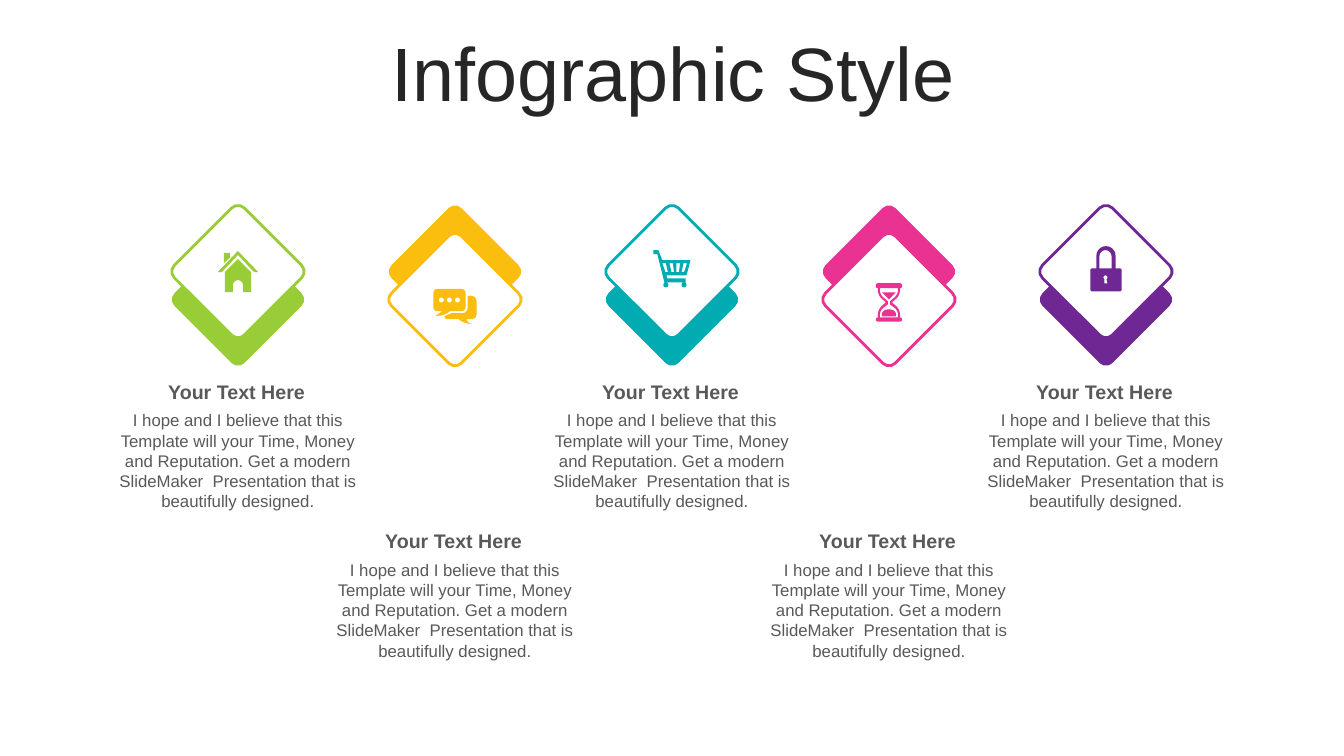
from dataclasses import dataclass
from math import hypot

from pptx import Presentation
from pptx.dml.color import RGBColor
from pptx.enum.shapes import MSO_SHAPE
from pptx.enum.text import MSO_ANCHOR, MSO_AUTO_SIZE, PP_ALIGN
from pptx.util import Pt


@dataclass(frozen=True)
class Theme:
    font: str = "Arial"
    title: str = "262626"
    text: str = "595959"
    white: str = "FFFFFF"
    green: str = "99CD37"
    amber: str = "FCBE0E"
    teal: str = "00ACB2"
    pink: str = "EA3293"
    purple: str = "6F2893"
    title_size: float = 54
    heading_size: float = 14
    body_size: float = 12
    outline: float = 2


THEME = Theme()
HEADING = "Your Text Here"
BODY = ("I hope and I believe that this Template will your Time, Money and Reputation. "
        "Get a modern SlideMaker  Presentation that is beautifully designed.")

# Column geometry, in points
LEFT, PITCH, COLUMN_W = 77, 155, 186
TILE, TILE_TOP, TILE_SHIFT = 70.6, 158.7, 20
TEXT_TOP, TEXT_SHIFT, BODY_DROP = 267.8, 106.8, 21.6
ICON_UNIT = 0.72


def disc(cx, cy, r):
    return [(cx - r, cy - r, r), (cx + r, cy - r, r), (cx + r, cy + r, r), (cx - r, cy + r, r)]


# Icon contours: corners as (x, y) or (x, y, rounding radius), in icon units
HOME = [
    [(20, 8), (33, 21), (33, 41), (25, 41), (25, 29, 5), (15, 29, 5), (15, 41), (7, 41), (7, 21)],
    [(6, 2), (12, 2), (12, 7), (6, 12)],
    [(20, 0), (40, 21), (36, 21), (20, 4), (4, 21), (0, 21)],
]
CHAT = [
    [(0, 0, 4), (32, 0, 4), (32, 22, 4), (17, 22), (11, 26, 4), (2, 27), (9, 22), (0, 22, 4)],
    [(34, 7), (43, 7, 5), (43, 30, 5), (33, 30), (34, 33, 2), (39, 35), (31, 34, 4),
     (25, 30), (11, 30, 3), (11, 27), (18, 24), (34, 24, 5)],
    *[disc(x, 11, 2.5) for x in (8, 16, 24)],
]
CART = [
    [(0, 0), (5, 0), (9, 10), (37, 10, 1), (33, 25, 1), (13, 25), (14, 28), (32, 28),
     (32, 32), (11, 32), (4, 4), (0, 4)],
    *[[(a, 13), (b, 22), (b + 2.5, 22), (a + 3.5, 13)]
      for a, b in ((9, 12), (16, 18), (23, 23), (30, 28))],
    *[disc(x, 34.5, 2.5) for x in (12.5, 30.5)],
]
HOURGLASS = [
    [(0, 0, 2), (26, 0, 2), (26, 5, 2), (24, 5), (24, 12, 5), (16, 19), (24, 26, 5), (24, 34),
     (26, 34, 2), (26, 38, 2), (0, 38, 2), (0, 34, 2), (2, 34), (2, 26, 5), (10, 19),
     (2, 12, 5), (2, 5), (0, 5, 2)],
    [(4, 5), (4, 11, 4), (12, 18), (12, 21), (4, 27, 4), (4, 34), (22, 34), (22, 27, 4),
     (14, 21), (14, 18), (22, 11, 4), (22, 5)],
    [(6, 9), (20, 9), (18, 11), (13, 16), (8, 11)],
    [(6, 33), (6, 28, 3), (13, 25, 4), (20, 28, 3), (20, 33)],
]
LOCK = [
    [(0, 22, 2), (6, 22), (6, 0, 9.5), (25, 0, 9.5), (25, 22), (31, 22, 2), (31, 45, 2),
     (0, 45, 2)],
    [(9, 22), (9, 4, 6), (21, 4, 6), (21, 22)],
    [(13, 29, 2), (17, 29, 2), (17, 32, 1), (16, 33), (17, 37), (14, 37), (14, 33), (13, 32, 1)],
]

# Colour, icon, icon shift below the centre of the front tile
COLUMNS = [
    (THEME.green, HOME, 0),
    (THEME.amber, CHAT, 5),
    (THEME.teal, CART, -2),
    (THEME.pink, HOURGLASS, 2),
    (THEME.purple, LOCK, -2),
]


def rgb(value):
    return RGBColor.from_string(value)


def style_text(tf, text, size, color, bold=False, spacing=None):
    tf.word_wrap = True
    tf.auto_size = MSO_AUTO_SIZE.NONE
    p = tf.paragraphs[0]
    p.alignment = PP_ALIGN.CENTER
    if spacing:
        p.line_spacing = spacing
    r = p.add_run()
    r.text = text
    r.font.color.rgb = rgb(color)
    for name, value in {"name": THEME.font, "size": Pt(size), "bold": bold}.items():
        setattr(r.font, name, value)


def place(sp, x, y, w, h):
    for name, value in {"left": x, "top": y, "width": w, "height": h}.items():
        setattr(sp, name, Pt(value))


def round_corners(corners, steps=6):
    """Turn corners with radii into a dense list of points."""
    points = []
    for i, (x, y, *radius) in enumerate(corners):
        if not radius:
            points.append((x, y))
            continue
        ends = []
        for nx, ny, *_ in (corners[i - 1], corners[(i + 1) % len(corners)]):
            k = radius[0] / hypot(nx - x, ny - y)
            ends.append((x + k * (nx - x), y + k * (ny - y)))
        (ax, ay), (bx, by) = ends
        for t in (n / steps for n in range(steps + 1)):
            u = 1 - t
            a = u ** 3 + 1.35 * u * u * t
            b = t ** 3 + 1.35 * t * t * u
            points.append((a * ax + b * bx + (1 - a - b) * x, a * ay + b * by + (1 - a - b) * y))
    return points


def add_icon(s, contours, cx, cy, color):
    corners = [corner for contour in contours for corner in contour]
    x0 = cx - max(c[0] for c in corners) * ICON_UNIT / 2
    y0 = cy - max(c[1] for c in corners) * ICON_UNIT / 2
    builder = None
    for contour in contours:
        first, *rest = [(Pt(x0 + x * ICON_UNIT), Pt(y0 + y * ICON_UNIT))
                        for x, y in round_corners(contour)]
        if builder is None:
            builder = s.shapes.build_freeform(*first)
        else:
            builder.move_to(*first)
        builder.add_line_segments(rest, close=True)
    sp = builder.convert_to_shape()
    sp.shadow.inherit = False
    sp.fill.solid()
    sp.fill.fore_color.rgb = rgb(color)
    sp.line.fill.background()


def add_tile(s, cx, y, fill, line=None):
    sp = s.shapes.add_shape(MSO_SHAPE.ROUNDED_RECTANGLE, Pt(cx - TILE / 2), Pt(y), Pt(TILE), Pt(TILE))
    sp.adjustments[0] = 0.09
    sp.rotation = 45
    sp.shadow.inherit = False
    sp.fill.solid()
    sp.fill.fore_color.rgb = rgb(fill)
    if line:
        sp.line.color.rgb = rgb(line)
        sp.line.width = Pt(THEME.outline)
    else:
        sp.line.fill.background()


def add_title(s, x, y, w, h):
    sp = s.shapes.title
    place(sp, x, y, w, h)
    sp.text_frame.vertical_anchor = MSO_ANCHOR.MIDDLE
    style_text(sp.text_frame, "Infographic Style", THEME.title_size, THEME.title, spacing=0.9)


def add_column(s, x, w, lowered, color, icon, icon_shift):
    # Tile pair: the white front tile is lowered in every second column
    cx = x + w / 2
    back, front = TILE_TOP + TILE_SHIFT * (not lowered), TILE_TOP + TILE_SHIFT * lowered
    add_tile(s, cx, back, color)
    add_tile(s, cx, front, THEME.white, color)
    add_icon(s, icon, cx, front + TILE / 2 + icon_shift, color)
    # Heading and body text
    top = TEXT_TOP + TEXT_SHIFT * lowered
    for text, y, width, height, size, bold in (
            (HEADING, top, w - 2, 24.2, THEME.heading_size, True),
            (BODY, top + BODY_DROP, w, 80, THEME.body_size, False)):
        sp = s.shapes.add_textbox(Pt(x), Pt(y), Pt(width), Pt(height))
        style_text(sp.text_frame, text, size, THEME.text, bold)


def main():
    prs = Presentation()
    prs.slide_width, prs.slide_height = Pt(960), Pt(540)
    s = prs.slides.add_slide(prs.slide_layouts[5])
    add_title(s, 25.2, 26.6, 911.5, 56.9)
    for i, (color, icon, icon_shift) in enumerate(COLUMNS):
        add_column(s, LEFT + i * PITCH, COLUMN_W, i % 2, color, icon, icon_shift)
    prs.save("out.pptx")


if __name__ == "__main__":
    main()
